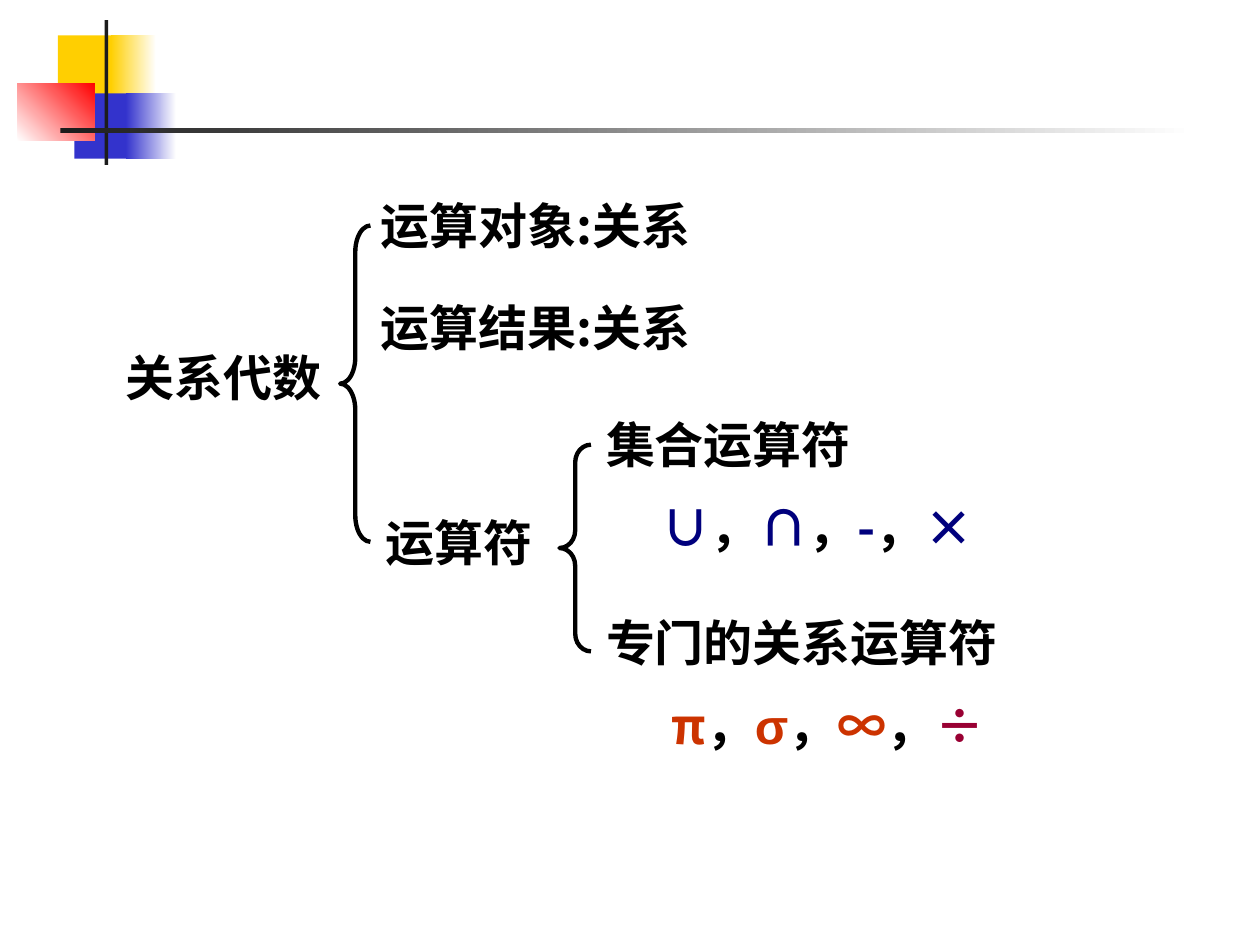
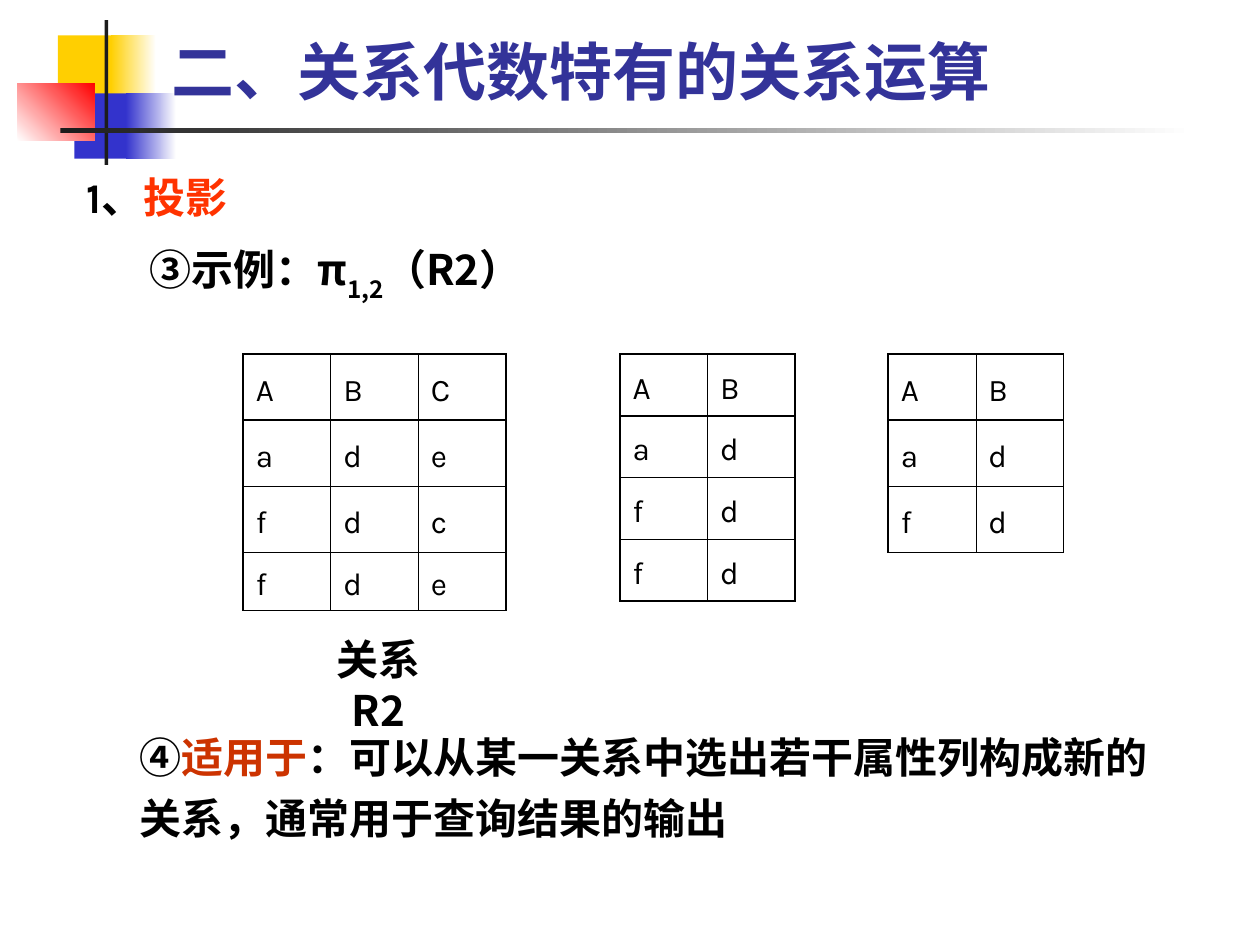
from lxml import etree
from pptx import Presentation
from pptx.dml.color import RGBColor
from pptx.enum.shapes import MSO_SHAPE
from pptx.enum.text import MSO_ANCHOR, PP_ALIGN
from pptx.oxml.ns import qn
from pptx.util import Inches, Pt

RECTANGLE, LEFT_BRACE = MSO_SHAPE.RECTANGLE, MSO_SHAPE.LEFT_BRACE
TOP, MIDDLE, BOTTOM = MSO_ANCHOR.TOP, MSO_ANCHOR.MIDDLE, MSO_ANCHOR.BOTTOM
LEFT, CENTER = PP_ALIGN.LEFT, PP_ALIGN.CENTER

BLACK = RGBColor(0x00, 0x00, 0x00)
WHITE = RGBColor(0xFF, 0xFF, 0xFF)
CHARCOAL = RGBColor(0x1C, 0x1C, 0x1C)
YELLOW = RGBColor(0xFF, 0xCF, 0x01)
BLUE = RGBColor(0x33, 0x33, 0xCC)
RED = RGBColor(0xFF, 0x00, 0x00)
INDIGO = RGBColor(0x33, 0x33, 0x99)
NAVY = RGBColor(0x00, 0x00, 0x7D)
RUST = RGBColor(0xCC, 0x33, 0x00)
ORANGE = RGBColor(0xFF, 0x33, 0x00)
WINE = RGBColor(0x99, 0x00, 0x33)

HAN, LATIN, SYMBOL = "Noto Sans CJK SC", "Karla", "Arial"
COLUMNS, ROWS = 100, 75
THICK, THIN = 1.08, 0.45


def write(paragraph, text, size=24, color=BLACK, font=HAN, bold=True, baseline=0):
    run = paragraph.add_run()
    run.text = text
    run.font.size = Pt(size)
    run.font.bold = bold
    run.font.name = font
    run.font.color.rgb = color
    properties = run.font._element
    properties.set("lang", "zh-CN")
    if baseline:
        properties.set("baseline", str(baseline * 1000))
    etree.SubElement(properties, qn("a:ea")).set("typeface", HAN)


class Deck:
    def __init__(self):
        self.presentation = Presentation()
        self.presentation.slide_width = Inches(10)
        self.presentation.slide_height = Inches(7.5)
        self.column = self.presentation.slide_width / COLUMNS
        self.row = self.presentation.slide_height / ROWS
        self.slide = None

    def place(self, left, top, width, height):
        return (round(left * self.column), round(top * self.row),
                round(width * self.column), round(height * self.row))

    def new_slide(self):
        self.slide = self.presentation.slides.add_slide(self.presentation.slide_layouts[6])
        self.block((4.6, 2.8, 4.8, 5.2), YELLOW)
        self.block((8.8, 2.8, 3.6, 5.2), YELLOW, WHITE)
        self.block((5.9, 7.4, 4.6, 5.2), BLUE)
        self.block((10, 7.4, 4, 5.2), BLUE, WHITE)
        self.block((1.4, 6.6, 6.1, 4.6), WHITE, RED, angle=45)
        self.block((8.3, 1.6, 0.3, 11.5), CHARCOAL)
        self.block((4.8, 10.2, 90, 0.4), CHARCOAL, WHITE)

    def block(self, area, color, fade_to=None, angle=0):
        shape = self.slide.shapes.add_shape(RECTANGLE, *self.place(*area))
        shape.shadow.inherit = False
        shape.line.fill.background()
        if fade_to is None:
            shape.fill.solid()
            shape.fill.fore_color.rgb = color
        else:
            shape.fill.gradient()
            shape.fill.gradient_angle = angle
            for stop, shade in zip(shape.fill.gradient_stops, (color, fade_to)):
                stop.color.rgb = shade

    def brace(self, area, curl):
        shape = self.slide.shapes.add_shape(LEFT_BRACE, *self.place(*area))
        shape.shadow.inherit = False
        shape.fill.background()
        shape.line.color.rgb = BLACK
        shape.line.width = Pt(2.5)
        shape.adjustments[0] = curl

    def text(self, area, *paragraphs, inset=True, anchor=TOP, align=LEFT,
             spacing=1, before=0, indents=(), **style):
        frame = self.slide.shapes.add_textbox(*self.place(*area)).text_frame
        frame.word_wrap = True
        frame.vertical_anchor = anchor
        if not inset:
            frame.margin_left = frame.margin_right = 0
            frame.margin_top = frame.margin_bottom = 0
        for index, runs in enumerate(paragraphs):
            paragraph = frame.paragraphs[0] if index == 0 else frame.add_paragraph()
            paragraph.alignment = align
            paragraph.line_spacing = spacing
            paragraph.space_before = Pt(before if index else 0)
            if index < len(indents):
                margin = round(indents[index] * self.column)
                paragraph._p.get_or_add_pPr().set("marL", str(margin))
            for text, changes in runs:
                write(paragraph, text, **{**style, **changes})

    def label(self, area, text, **style):
        self.text(area, [(text, {})], **style)

    def operators(self, area, heading, symbols, indent):
        runs = []
        for symbol, style in symbols:
            if runs:
                runs.append(("，", {}))
            runs.append((symbol, style))
        self.text(area, [(heading, {})], runs, inset=False, size=28,
                  spacing=1.2, before=7, indents=(0, indent))

    def relation(self, left, tuples, heights):
        column_width, top = 6.95, 28.1
        count, width = len(tuples), len(tuples[0])
        area = self.place(left, top, column_width * width, sum(heights))
        table = self.slide.shapes.add_table(count, width, *area).table
        table.first_row = table.horz_banding = False
        for column in table.columns:
            column.width = round(column_width * self.column)
        for r, (values, height) in enumerate(zip(tuples, heights)):
            table.rows[r].height = round(height * self.row)
            for c, value in enumerate(values):
                cell = table.cell(r, c)
                cell.fill.background()
                cell.vertical_anchor = MIDDLE
                paragraph = cell.text_frame.paragraphs[0]
                paragraph.line_spacing = 1.2
                write(paragraph, value, size=18, font=LATIN, bold=False)
                self.borders(cell, L=c == 0, R=c == width - 1,
                             T=r < 2, B=r in (0, count - 1))

    def borders(self, cell, **sides):
        properties = cell._tc.get_or_add_tcPr()
        for index, (side, thick) in enumerate(sides.items()):
            line = etree.Element(qn(f"a:ln{side}"))
            line.set("w", str(Pt(THICK if thick else THIN)))
            fill = etree.SubElement(line, qn("a:solidFill"))
            etree.SubElement(fill, qn("a:srgbClr")).set("val", str(BLACK))
            properties.insert(index, line)


def algebra_overview(deck):
    deck.new_slide()
    deck.brace((44.4, 35.3, 2.5, 16.4), 0.56)
    deck.operators((48.1, 47.7, 42.9, 13.3), "专门的关系运算符", [
        ("π", {"color": RUST}),
        ("σ", {"color": RUST, "font": SYMBOL}),
        ("∞", {"color": RUST, "font": SYMBOL}),
        ("÷", {"color": WINE}),
    ], indent=5.2)
    deck.operators((48.1, 32, 45.2, 12.6), "集合运算符",
                   [(symbol, {"color": NAVY}) for symbol in "∪∩-×"], indent=4.4)
    deck.brace((27, 17.9, 2.4, 25.1), 0.87)
    heading = {"inset": False, "size": 28}
    deck.label((9.3, 27.6, 16.9, 5.4), "关系代数", align=CENTER, **heading)
    deck.label((30.6, 40.7, 12.3, 5.9), "运算符", **heading)
    deck.label((30.2, 23.6, 39.4, 5.5), "运算结果:关系", **heading)
    deck.label((30.2, 15.5, 41.8, 5.6), "运算对象:关系", **heading)


def projection_example(deck):
    deck.new_slide()
    deck.text((5.9, 12.3, 88.2, 14),
              [("1、", {"font": LATIN}), ("投影", {"color": ORANGE})],
              [("③示例：π", {}), ("1,2", {"baseline": -30}), ("（R2）", {})],
              spacing=1.2, before=6, indents=(0, 5))
    deck.relation(19.3, ["ABC", "ade", "fdc", "fde"], [5.25, 5.25, 5.25, 4.6])
    deck.label((23.8, 49.8, 12.5, 5), "关系R2", align=CENTER)
    deck.relation(49.2, ["AB", "ad", "fd", "fd"], [4.9] * 4)
    deck.relation(70.5, ["AB", "ad", "fd"], [5.25] * 3)
    deck.label((12.6, 2.3, 85.2, 6.8), "二、关系代数特有的关系运算",
               size=36, color=INDIGO, font=LATIN, anchor=BOTTOM)
    deck.text((5.1, 56.8, 87.4, 10.6),
              [("④", {}), ("适用于", {"color": RUST}),
               ("：可以从某一关系中选出若干属性列构成新的关系，通常用于查询结果的输出", {})],
              spacing=1.2, indents=(5,))


def main():
    deck = Deck()
    algebra_overview(deck)
    projection_example(deck)
    deck.presentation.save("out.pptx")


if __name__ == "__main__":
    main()
